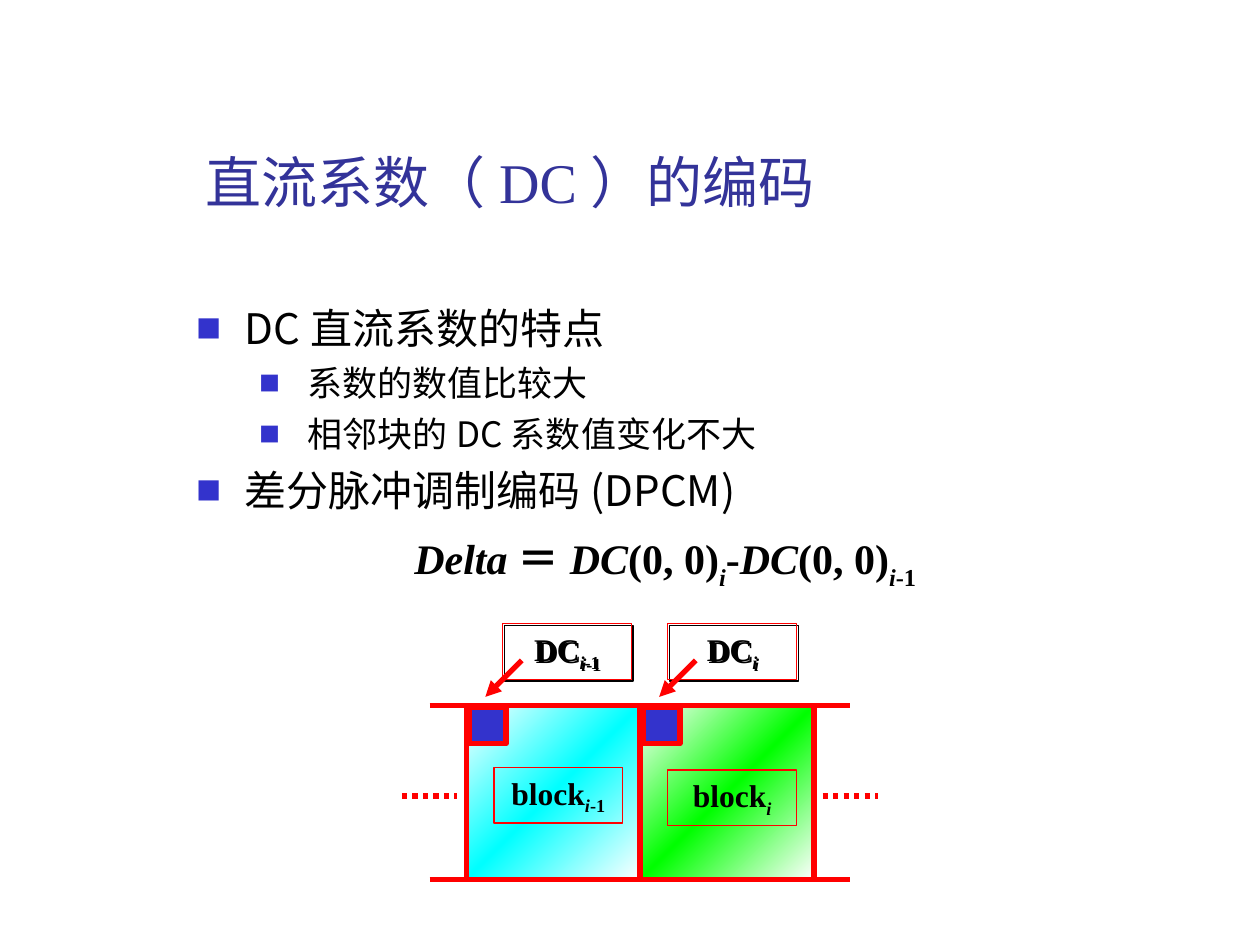
"""Build a slide on coding DC coefficients with DPCM."""
from copy import deepcopy
from dataclasses import dataclass

from lxml.etree import SubElement
from pptx import Presentation
from pptx.dml.color import RGBColor as Rgb
from pptx.enum.dml import MSO_LINE as Dash
from pptx.enum.shapes import MSO_CONNECTOR as Conn, MSO_SHAPE as Kind
from pptx.enum.text import MSO_ANCHOR as Anchor, MSO_AUTO_SIZE as Auto, PP_ALIGN as Align
from pptx.oxml.ns import qn
from pptx.util import Inches, Pt

HUE = {"red": "FF0000", "blue": "3333CC", "title": "333399", "ink": "000000",
       "cyan": "00FFFF", "green": "00FF00", "white": "FFFFFF"}
SANS, SERIF = "Noto Sans CJK SC", "Times New Roman"
WIDE, HIGH = 10, 7.5
LEFT, TOP, CELL = 3.7, 5.6, 1.38


@dataclass
class Bit:
    text: str
    slant: bool = False
    drop: int = 0


@dataclass
class Item:
    bits: list[Bit]
    level: int = 0
    size: int = 24
    gap: int = 6
    math: bool = False


@dataclass
class Block:
    hue: str
    sub: list[Bit]
    row: float


def colour(name: str) -> Rgb:
    return Rgb.from_string(HUE[name])


def spot(col: float, row: float) -> tuple:
    return Inches(LEFT + col * CELL), Inches(TOP + row * CELL)


def place(shape, x: float, y: float, w: float, h: float) -> None:
    """Set a frame given as shares of the slide."""
    shape.left, shape.top = Inches(x * WIDE), Inches(y * HIGH)
    shape.width, shape.height = Inches(w * WIDE), Inches(h * HIGH)


def write(para, bits: list[Bit], size: int, face: str, hue: str, bold: bool) -> None:
    for bit in bits:
        run = para.add_run()
        run.text = bit.text
        font = run.font
        font.size, font.name, font.bold, font.italic = Pt(size), face, bold, bit.slant
        font.color.rgb = colour(hue)
        props = run._r.get_or_add_rPr()
        SubElement(props, qn("a:ea"), typeface=SANS)
        if bit.drop:
            props.set("baseline", str(-1000 * bit.drop))


def mark(para, item: Item) -> None:
    """Set the indent and the bullet of a list item."""
    props = para._p.get_or_add_pPr()
    props.set("marL", str(Inches(0.38 + 0.5 * item.level)))
    props.set("indent", str(Inches(-0.38)))
    if item.math:
        SubElement(props, qn("a:buNone"))
        return
    tint = SubElement(props, qn("a:buClr"))
    SubElement(tint, qn("a:srgbClr"), val=HUE["blue"])
    SubElement(props, qn("a:buSzPct"), val="60000")
    SubElement(props, qn("a:buFont"), typeface=SANS)
    SubElement(props, qn("a:buChar"), char="■")


def line(slide, start: tuple, end: tuple, dots: bool = False, head: bool = False) -> None:
    link = slide.shapes.add_connector(Conn.STRAIGHT, *spot(*start), *spot(*end))
    link.line.width = Pt(3)
    link.line.color.rgb = colour("red")
    if dots:
        link.line.dash_style = Dash.ROUND_DOT
    if head:
        SubElement(link.line._get_or_add_ln(), qn("a:tailEnd"), type="triangle")
    SubElement(link._element.spPr, qn("a:effectLst"))


def box(slide, col: float, row: float, w: float, h: float, weight: float = 3):
    shape = slide.shapes.add_shape(Kind.RECTANGLE, *spot(col, row),
                                   Inches(w * CELL), Inches(h * CELL))
    shape.shadow.inherit = False
    shape.line.width = Pt(weight)
    shape.line.color.rgb = colour("red")
    return shape


def blend(shape, hue: str) -> None:
    """Fill with white, the hue and white along the diagonal."""
    fill = shape.fill
    fill.gradient()
    fill.gradient_angle = 315
    stops = shape._element.spPr.find(".//" + qn("a:gsLst"))
    stops.append(deepcopy(stops[0]))
    for stop, name, pos in zip(fill.gradient_stops, ("white", hue, "white"), (0, 0.5, 1)):
        stop.color.rgb = colour(name)
        stop.position = pos


def label(slide, col: float, row: float, bits: list[Bit], shade: bool = False) -> None:
    shape = box(slide, col, row, 0.74, 0.32, 0.75)
    shape.fill.background()
    if shade:
        glow = SubElement(shape._element.spPr.find(qn("a:effectLst")), qn("a:outerShdw"),
                          dist=str(Pt(1.4)), dir="2700000", algn="ctr", rotWithShape="0")
        SubElement(glow, qn("a:srgbClr"), val=HUE["ink"])
    frame = shape.text_frame
    frame.word_wrap = True
    para = frame.paragraphs[0]
    para.alignment = Align.CENTER
    write(para, bits, 18, SERIF, "ink", True)


def text(slide) -> None:
    head, body = slide.placeholders
    place(head, 0.153, 0.143, 0.825, 0.113)
    place(body, 0.146, 0.313, 0.764, 0.41)
    for shape in (head, body):
        frame = shape.text_frame
        frame.word_wrap, frame.auto_size = True, Auto.NONE
        frame.vertical_anchor = Anchor.TOP
    para = head.text_frame.paragraphs[0]
    para.alignment, para.line_spacing = Align.LEFT, Pt(42)
    write(para, [Bit("直流系数（DC）的编码")], 32, SERIF, "title", False)
    term = [Bit("DC", True), Bit("(0, 0)"), Bit("i", True, 30)]
    items = [
        Item([Bit("DC直流系数的特点")]),
        Item([Bit("系数的数值比较大")], 1, 20, 5),
        Item([Bit("相邻块的DC系数值变化不大")], 1, 20, 5),
        Item([Bit("差分脉冲调制编码(DPCM)")]),
        Item([Bit("Delta", True), Bit("＝"), *term, Bit("-"), *term, Bit("-1", drop=30)],
             gap=15, math=True),
    ]
    frame = body.text_frame
    for n, item in enumerate(items):
        para = frame.add_paragraph() if n else frame.paragraphs[0]
        para.level = item.level
        para.alignment = Align.CENTER if item.math else Align.LEFT
        para.space_before, para.line_spacing = Pt(item.gap), Pt(item.size * 1.2)
        mark(para, item)
        write(para, item.bits, item.size, SERIF if item.math else SANS, "ink", item.math)


def chain(slide) -> None:
    """Draw the row of blocks with their DC corners and labels."""
    sub = Bit("i", True, 25)
    blocks = [Block("cyan", [sub, Bit("-1", drop=25)], 0.355), Block("green", [sub], 0.37)]
    for row in (0, 1):
        line(slide, (-0.21, row), (2.21, row))
    for col, block in enumerate(blocks):
        blend(box(slide, col, 0, 1, 1), block.hue)
    for col, block in enumerate(blocks):
        fill = box(slide, col + 0.02, 0.01, 0.21, 0.21).fill
        fill.solid()
        fill.fore_color.rgb = colour("blue")
        label(slide, col * 0.95 + 0.21, -0.47, [Bit("DC"), *block.sub], True)
        line(slide, (col + 0.32, -0.26), (col + 0.11, -0.05), head=True)
        label(slide, col + 0.16, block.row, [Bit("block"), *block.sub])
    for col in (-0.37, 2.05):
        line(slide, (col, 0.52), (col + 0.32, 0.52), dots=True)


def main() -> None:
    deck = Presentation()
    deck.slide_width, deck.slide_height = Inches(WIDE), Inches(HIGH)
    slide = deck.slides.add_slide(deck.slide_layouts[1])
    text(slide)
    chain(slide)
    deck.save("out.pptx")


if __name__ == "__main__":
    main()
